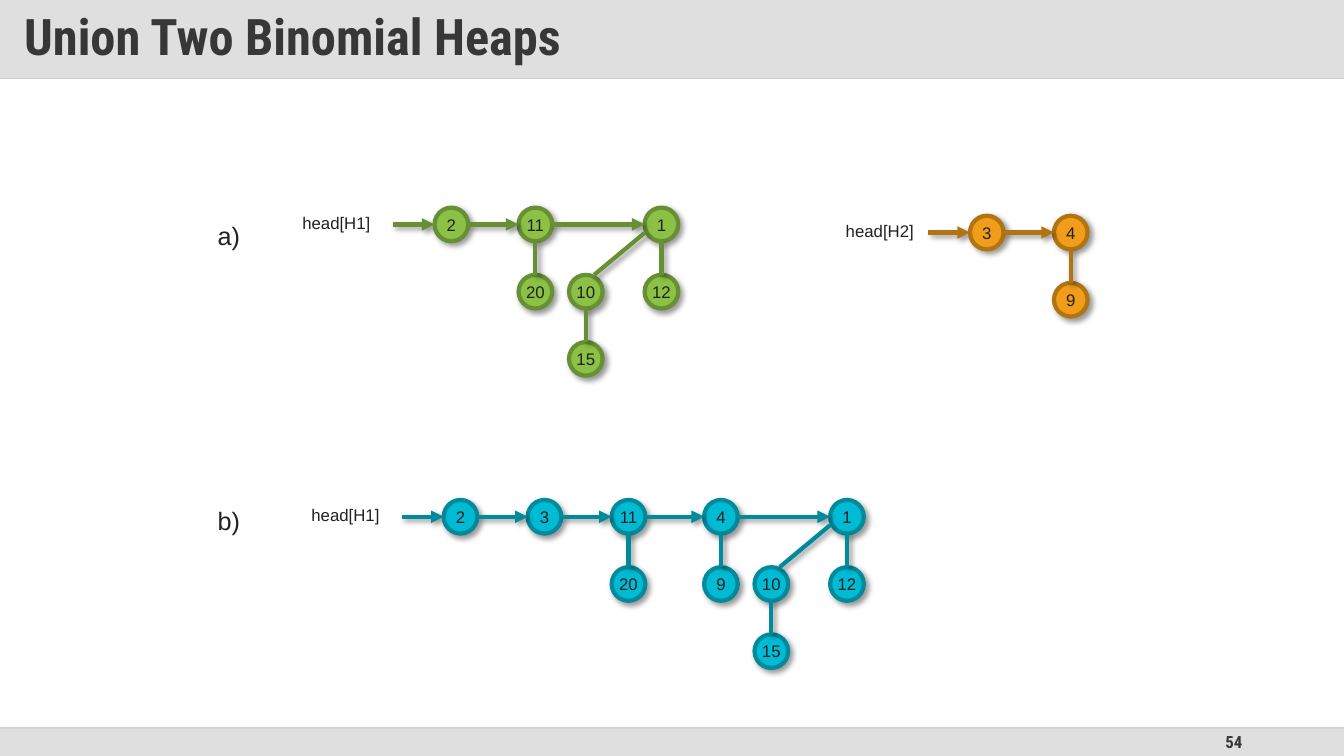
import pptx
import pptx.util
import pptx.dml.color
import pptx.enum.shapes
import pptx.enum.text
import pptx.oxml
import pptx.oxml.ns

Inches = pptx.util.Inches
Pt = pptx.util.Pt
RGB = pptx.dml.color.RGBColor
SHAPE = pptx.enum.shapes.MSO_SHAPE
ALIGN = pptx.enum.text.PP_ALIGN
MIDDLE = pptx.enum.text.MSO_ANCHOR.MIDDLE
qn = pptx.oxml.ns.qn

WHITE = RGB(0xFF, 0xFF, 0xFF)
INK = RGB(0x21, 0x21, 0x21)
DARK = RGB(0x37, 0x37, 0x37)
BAR = RGB(0xC0, 0xC0, 0xC0)
FOOT = RGB(0xDF, 0xDF, 0xDF)
RULE = RGB(0xD9, 0xD9, 0xD9)
EDGE = RGB(0xBF, 0xBF, 0xBF)
GREEN = RGB(0x8B, 0xC1, 0x45), RGB(0x67, 0x8F, 0x33)
AMBER = RGB(0xF1, 0x9D, 0x19), RGB(0xB2, 0x74, 0x12)
TEAL = RGB(0x00, 0xBB, 0xD3), RGB(0x00, 0x8A, 0x9C)

WIDE, HIGH = 13.33, 7.5
UNIT = 1 / 12  # grid step of the heaps, in inches
NODE = 4 * UNIT
LEVEL = 8 * UNIT
BODY = {"name": "Arial", "size": Pt(12), "bold": False}
LARGE = BODY | {"size": Pt(18)}
HEAD = {"name": "Roboto Condensed", "size": Pt(36), "bold": True}
PAGE = HEAD | {"size": Pt(12)}

# Nodes: key, column in grid units, level, parent index
FIRST = [("2", 0, 0, None), ("11", 10, 0, 0), ("1", 25, 0, 1),
         ("20", 10, 1, 1), ("10", 16, 1, 2), ("12", 25, 1, 2),
         ("15", 16, 2, 4)]
SECOND = [("3", 0, 0, None), ("4", 10, 0, 0), ("9", 10, 1, 1)]
MERGED = [("2", 0, 0, None), ("3", 10, 0, 0), ("11", 20, 0, 1),
          ("4", 31, 0, 2), ("1", 46, 0, 3), ("20", 20, 1, 2),
          ("9", 31, 1, 3), ("10", 37, 1, 4), ("12", 46, 1, 4),
          ("15", 37, 2, 7)]


def apply(item, values):
    for name, value in values.items():
        setattr(item, name, value)


def fade(part, percent):
    color = next(part.iter(qn("a:srgbClr")))
    color.append(pptx.oxml.parse_xml(
        f'<a:alpha {pptx.oxml.ns.nsdecls("a")} val="{percent * 1000}"/>'))


def effect(item, cast):
    part = item._element.spPr
    inner = ('<a:outerShdw blurRad="50800" dist="38100" dir="2700000" '
             'algn="tl" rotWithShape="0"><a:srgbClr val="000000">'
             '<a:alpha val="40000"/></a:srgbClr></a:outerShdw>')
    part.append(pptx.oxml.parse_xml(
        f'<a:effectLst {pptx.oxml.ns.nsdecls("a")}>'
        f'{inner if cast else ""}</a:effectLst>'))


def write(item, text, font, color=INK, align=ALIGN.LEFT):
    para = item.text_frame.paragraphs[0]
    para.text = text
    para.alignment = align
    apply(para.font, font)
    para.font.color.rgb = color
    return para


def shape(slide, kind, box, fill, line=None, cast=False):
    item = slide.shapes.add_shape(kind, *map(Inches, box))
    item.fill.solid()
    item.fill.fore_color.rgb = fill
    if line is None:
        item.line.fill.background()
    else:
        item.line.color.rgb = line
        item.line.width = Pt(3)
    effect(item, cast)
    return item


def label(slide, box, text, font, color=INK, align=ALIGN.LEFT):
    item = slide.shapes.add_textbox(*map(Inches, box))
    item.text_frame.word_wrap = True
    write(item, text, font, color, align)
    return item


def link(slide, start, end, color, width=3, arrow=False, cast=True):
    item = slide.shapes.add_connector(
        pptx.enum.shapes.MSO_CONNECTOR.STRAIGHT,
        *map(Inches, (*start, *end)))
    item.line.color.rgb = color
    item.line.width = Pt(width)
    if arrow:
        item.line._get_or_add_ln().append(pptx.oxml.parse_xml(
            f'<a:tailEnd {pptx.oxml.ns.nsdecls("a")} type="triangle"/>'))
    effect(item, cast)
    return item


def header(slide, box):
    left, top, wide, high = box
    link(slide, (left, top + high), (left + wide, top + high), RULE, 1,
         cast=False)
    bar = shape(slide, SHAPE.RECTANGLE, box, BAR)
    fade(bar._element.spPr, 50)
    apply(bar.text_frame, {
        "word_wrap": True, "vertical_anchor": MIDDLE,
        "margin_left": Inches(0.24), "margin_right": Inches(0.24),
        "margin_top": Inches(0.12), "margin_bottom": Inches(0.12)})
    write(bar, "Union Two Binomial Heaps", HEAD, DARK).line_spacing = 0.9


def footer(slide, box):
    left, top, wide, high = box
    shape(slide, SHAPE.RECTANGLE, box, FOOT)
    page = label(slide, (left + 9.42, top, 3, high), "54", PAGE, DARK,
                 ALIGN.RIGHT)
    page.text_frame.vertical_anchor = MIDDLE
    rule = link(slide, (left, top), (left + wide, top), EDGE, 1, cast=False)
    fade(rule._element.spPr, 70)


def heap(slide, box, name, nodes, colors):
    """Box is the left and top of the first root, and the label's reach."""
    left, top, reach = box
    fill, line = colors
    half = NODE / 2
    spots = [(left + col * UNIT, top + row * LEVEL)
             for _, col, row, _ in nodes]

    # Head pointer
    label(slide, (left - reach, top, 1, 0.3), name, BODY)
    link(slide, (left - 5 * UNIT, top + half), (left, top + half), line,
         arrow=True)

    # Nodes
    for (key, *_), (x, y) in zip(nodes, spots):
        item = shape(slide, SHAPE.OVAL, (x, y, NODE, NODE), fill, line, True)
        apply(item.text_frame, {
            "word_wrap": False, "vertical_anchor": MIDDLE,
            "margin_left": 0, "margin_right": 0,
            "margin_top": 0, "margin_bottom": 0})
        write(item, key, BODY, INK, ALIGN.CENTER)

    # Root list arrows and tree edges
    for (_, _, row, parent), (x, y) in zip(nodes, spots):
        if parent is None:
            continue
        px, py = spots[parent]
        if row == 0:
            link(slide, (px + NODE, y + half), (x, y + half), line,
                 arrow=True)
        elif x == px:
            link(slide, (x + half, py + NODE), (x + half, y), line)
        else:
            link(slide, (x + 0.25, y), (px, py + 0.25), line)


def main():
    deck = pptx.Presentation()
    apply(deck, {"slide_width": Inches(WIDE), "slide_height": Inches(HIGH)})
    slide = deck.slides.add_slide(deck.slide_layouts[6])
    slide.background.fill.solid()
    slide.background.fill.fore_color.rgb = WHITE

    footer(slide, (0, 7.22, WIDE, 0.28))
    header(slide, (0, 0, WIDE, 0.78))

    # Before and after the union
    label(slide, (2.06, 2.14, 0.5, 0.4), "a)", LARGE)
    heap(slide, (4.31, 2.06, 1.41), "head[H1]", FIRST, GREEN)
    heap(slide, (9.62, 2.14, 1.33), "head[H2]", SECOND, AMBER)
    label(slide, (2.06, 4.96, 0.58, 0.4), "b)", LARGE)
    heap(slide, (4.4, 4.96, 1.41), "head[H1]", MERGED, TEAL)

    deck.save("out.pptx")


if __name__ == "__main__":
    main()
